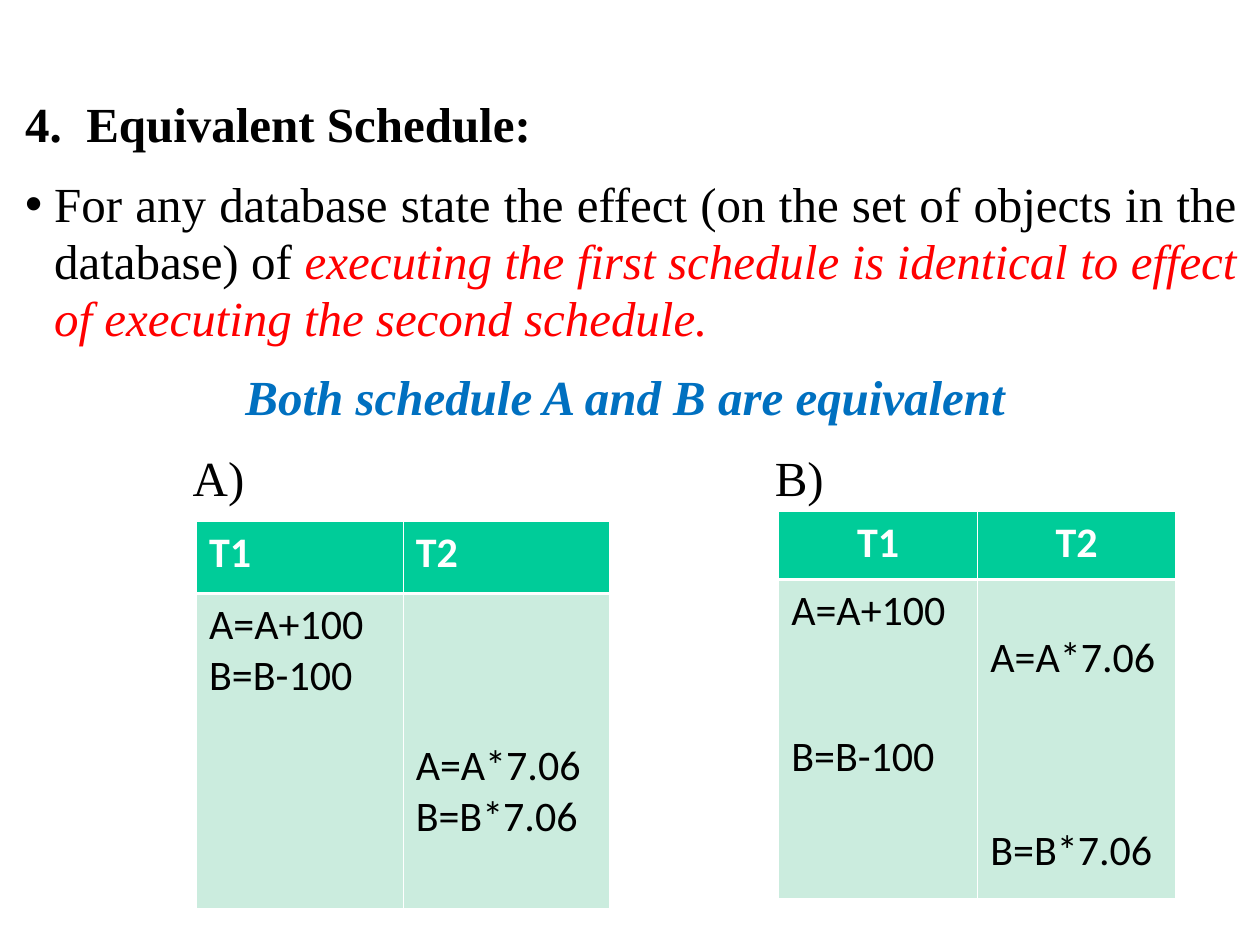
from pptx import Presentation
from pptx.dml.color import RGBColor
from pptx.enum.text import MSO_ANCHOR, MSO_AUTO_SIZE, PP_ALIGN
from pptx.oxml.ns import qn
from pptx.util import Inches, Pt
from lxml.etree import SubElement


def color(value):
    """Turn a hex string into a colour."""
    return RGBColor.from_string(value)


def format_font(font, name, size, value, bold=False, italic=False):
    """Set the look of a font."""
    font.name, font.size = name, Pt(size)
    font.bold, font.italic = bold, italic
    font.color.rgb = color(value)


def place(sp, left, top, width, height, inset=0):
    """Move a shape and prepare its text frame."""
    sp.left, sp.top = Inches(left), Inches(top)
    sp.width, sp.height = Inches(width), Inches(height)
    tf = sp.text_frame
    tf.word_wrap, tf.auto_size = True, MSO_AUTO_SIZE.NONE
    tf.vertical_anchor = MSO_ANCHOR.TOP
    tf.margin_left = tf.margin_right = tf.margin_bottom = 0
    tf.margin_top = Inches(inset)
    return tf


def fill_paragraph(p, runs, align=PP_ALIGN.LEFT, bullet=False):
    """Write formatted runs with an optional bullet."""
    pPr = p._p.get_or_add_pPr()
    indent = Inches(0.23) if bullet else 0
    pPr.set("marL", str(indent))
    pPr.set("indent", str(-indent))
    if bullet:
        SubElement(pPr, qn("a:buChar"), char="•")
    else:
        SubElement(pPr, qn("a:buNone"))
    p.alignment, p.line_spacing = align, 0.97
    p.space_before, p.space_after = Pt(0), Pt(12.9)
    for text, value, bold, italic in runs:
        r = p.add_run()
        r.text = text
        format_font(r.font, "Times New Roman", 28, value, bold, italic)


def add_label(s, text, left):
    """Add the letter above a schedule."""
    tf = place(s.shapes.add_textbox(0, 0, 0, 0), left, 3.58, 0.6, 0.46)
    fill_paragraph(tf.paragraphs[0], [(text, "000000", False, False)])


def add_borders(cell, header):
    """Draw white cell borders, heavier between header and body."""
    tcPr = cell._tc.get_or_add_tcPr()
    heavy = "B" if header else "T"
    for side in "LRTB":
        width = Pt(1.47 if side == heavy else 0.45)
        ln = SubElement(tcPr, qn(f"a:ln{side}"), w=str(width))
        SubElement(SubElement(ln, qn("a:solidFill")), qn("a:srgbClr"), val="FFFFFF")


def fill_cell(cell, lines, header=False, align=PP_ALIGN.LEFT, top=0.05, gap=0):
    """Write the lines of a cell, starting at top and gap points apart."""
    add_borders(cell, header)
    cell.fill.solid()
    cell.fill.fore_color.rgb = color("00CC99" if header else "CBECDE")
    cell.margin_top = Inches(top)
    tf = cell.text_frame
    tf.text = "\n".join(lines)
    for i, p in enumerate(tf.paragraphs):
        p.alignment = align
        if i and gap:
            p.space_before = Pt(gap)
        format_font(p.runs[0].font, "Calibri", 24, "FFFFFF" if header else "000000", header)


def add_schedule(s, left, top, widths, heights, align, steps):
    """Add a schedule table with one column per transaction."""
    table = s.shapes.add_table(2, 2, Inches(left), Inches(top),
                               Inches(sum(widths)), Inches(sum(heights))).table
    for row, height in zip(table.rows, heights):
        row.height = Inches(height)
    for i, (width, (lines, start, gap)) in enumerate(zip(widths, steps)):
        table.columns[i].width = Inches(width)
        fill_cell(table.cell(0, i), [f"T{i + 1}"], header=True, align=align)
        fill_cell(table.cell(1, i), lines, top=start, gap=gap)


def main():
    """Build the equivalent schedule slide."""
    prs = Presentation()
    prs.slide_width, prs.slide_height = Inches(10), Inches(7.5)
    s = prs.slides.add_slide(prs.slide_layouts[1])

    title = place(s.shapes.title, 0.2, 0.6, 9.61, 0.8, inset=0.17)
    fill_paragraph(title.paragraphs[0], [("4.  Equivalent Schedule:", "000000", True, False)])

    body = place(s.placeholders[1], 0.2, 1.4, 9.62, 2.1)
    fill_paragraph(body.paragraphs[0], [
        ("For any database state the effect (on the set of objects in the database) of ",
         "000000", False, False),
        ("executing the first schedule is identical to effect of executing the second schedule.",
         "FF0000", False, True),
    ], PP_ALIGN.JUSTIFY, bullet=True)
    fill_paragraph(body.add_paragraph(),
                   [("Both schedule A and B are equivalent ", "0070C0", True, True)],
                   PP_ALIGN.CENTER)

    add_label(s, "A)", 1.53)
    add_schedule(s, 1.56, 4.14, (1.64, 1.64), (0.57, 2.5), PP_ALIGN.LEFT, [
        (["A=A+100", "B=B-100"], 0.05, 0),
        (["A=A*7.06", "B=B*7.06"], 1.17, 0),
    ])
    add_label(s, "B)", 6.15)
    add_schedule(s, 6.18, 4.06, (1.58, 1.57), (0.54, 2.53), PP_ALIGN.CENTER, [
        (["A=A+100", "B=B-100"], 0.05, 54),
        (["A=A*7.06", "B=B*7.06"], 0.42, 81),
    ])
    prs.save("out.pptx")


if __name__ == "__main__":
    main()
